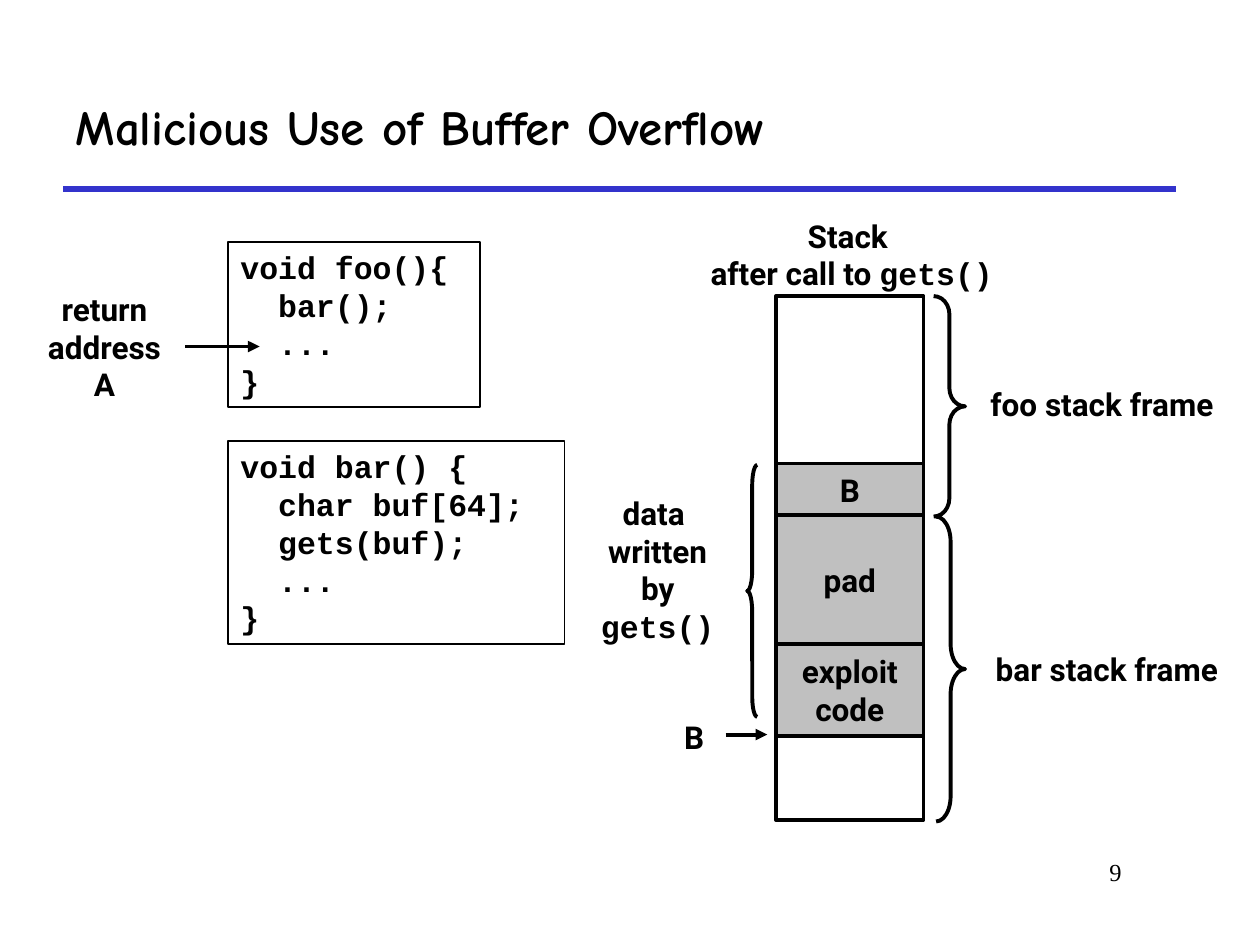
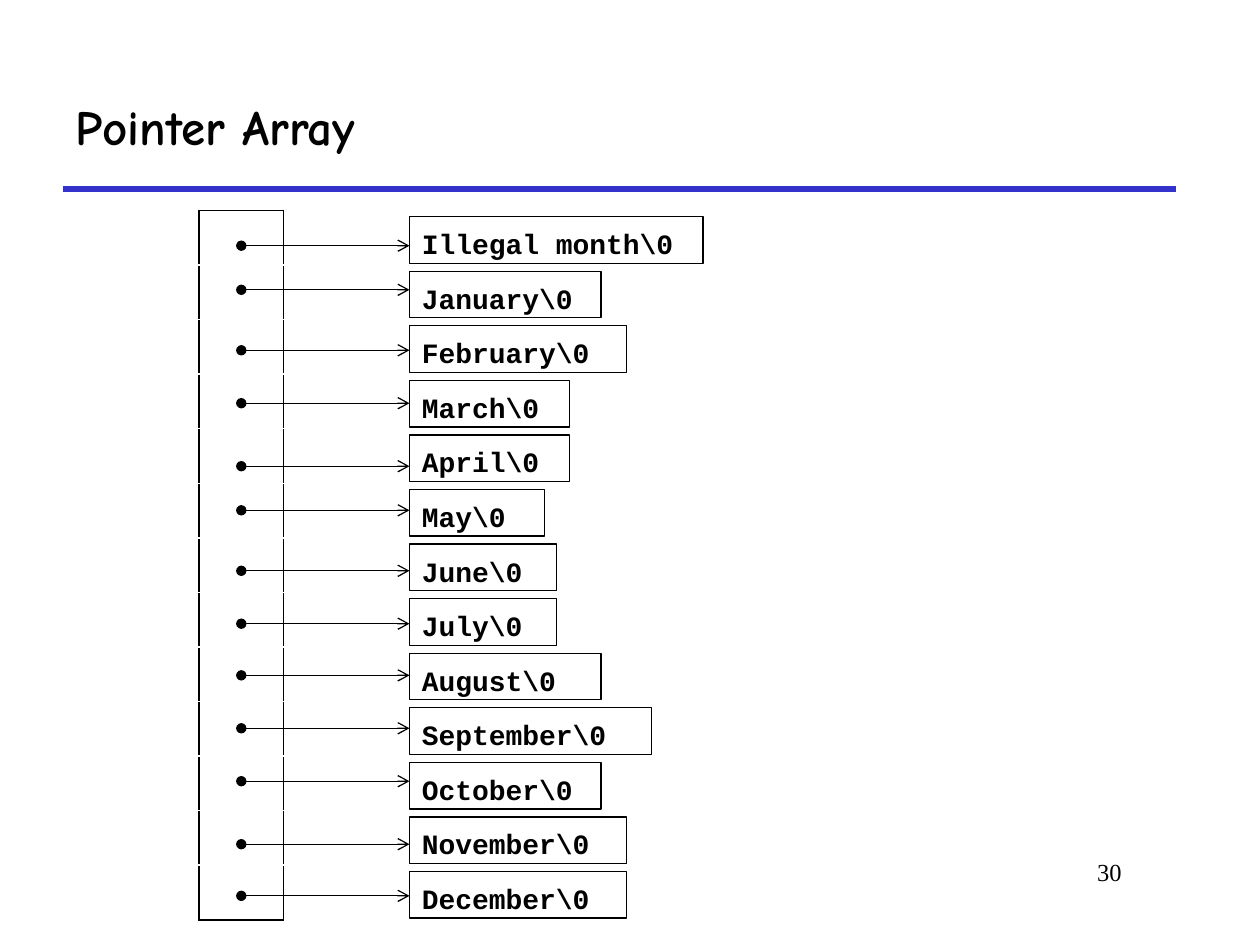
from lxml.etree import SubElement
from pptx import Presentation
from pptx.dml.color import RGBColor
from pptx.enum.shapes import MSO_CONNECTOR as Connector, MSO_SHAPE as Shape
from pptx.enum.text import MSO_ANCHOR as Anchor, MSO_AUTO_SIZE as AutoSize, PP_ALIGN as Align
from pptx.oxml.ns import qn
from pptx.util import Inches, Pt

COLORS = {"ink": "000000", "rule": "3333CC", "written": "C0C0C0", "paper": "FFFFFF"}
TITLE_FONT, CODE_FONT, LABEL_FONT, NUMBER_FONT = "Comic Neue", "Courier New", "Roboto", "Times New Roman"
CODE_WORD = "gets()"

# Slide 1 content: places are left, top, width, height in inches
CODE_BLOCKS = [
    ((1.81, 1.92, 2, 1.31), ["void foo(){", "  bar();", "  ...", "}"]),
    ((1.81, 3.5, 2.67, 1.61), ["void bar() {", "  char buf[64];", "  gets(buf);", "  ...", "}"]),
]
LABELS = [
    ((0.25, 2.25, 1.16, 1), ["return", "address", "A"]),
    ((5.51, 1.67, 2.5, 0.7), ["Stack ", "after call to gets()"]),
    ((7.72, 3.01, 2.05, 0.4), ["foo stack frame"]),
    ((7.76, 5.11, 2.05, 0.4), ["bar stack frame"]),
    ((5.32, 5.65, 0.38, 0.4), ["B"]),
    ((4.67, 3.87, 1.1, 1.3), ["data ", "written", "by", "gets()"]),
]
STACK_LEFT, STACK_WIDTH = 6.16, 1.17
STACK_CELLS = [  # top, height, fill, line width, text
    (2.35, 1.33, "paper", 2, []),
    (3.68, 0.42, "written", 2, ["B"]),
    (5.83, 0.68, "paper", 2, []),
    (5.11, 0.73, "written", 2.25, ["exploit", "code"]),
    (4.09, 1.02, "written", 2.25, ["pad"]),
]
BRACES = [
    (Shape.RIGHT_BRACE, (7.41, 2.35, 0.25, 1.75), 0.58),
    (Shape.RIGHT_BRACE, (7.43, 4.1, 0.23, 2.42), 0.87),
    (Shape.LEFT_BRACE, (5.93, 3.69, 0.08, 2), 2),
]
ADDRESS_ARROWS = [(1.47, 2.06, 2.75), (5.76, 6.09, 5.83)]  # from x, to x, y

# Slide 2 content: text, box width, arrow height
MONTHS = [
    ("Illegal month", 2.33, 1.95), ("January", 1.52, 2.3), ("February", 1.72, 2.78),
    ("March", 1.27, 3.2), ("April", 1.27, 3.7), ("May", 1.07, 4.05),
    ("June", 1.17, 4.53), ("July", 1.17, 4.95), ("August", 1.52, 5.36),
    ("September", 1.92, 5.78), ("October", 1.52, 6.2), ("November", 1.72, 6.7),
    ("December", 1.72, 7.11),
]
ARRAY_LEFT, ARRAY_TOP, ARRAY_WIDTH, ARRAY_HEIGHT = 1.58, 1.67, 0.67, 5.63
MONTH_LEFT, MONTH_TOP, MONTH_HEIGHT = 3.25, 1.72, 0.37


def color(name):
    return RGBColor.from_string(COLORS[name])


def inches(place):
    return [Inches(length) for length in place]


def write(shape, lines, font, size, align=Align.LEFT, anchor=Anchor.TOP, bold=True, wrap=True):
    frame = shape.text_frame
    frame.auto_size = AutoSize.NONE
    frame.word_wrap = wrap
    frame.vertical_anchor = anchor
    for index, line in enumerate(lines):
        para = frame.add_paragraph() if index else frame.paragraphs[0]
        para.alignment = align
        para.font.name, para.font.size, para.font.bold = font, Pt(size), bold
        para.font.color.rgb = color("ink")
        for text in filter(None, line.partition(CODE_WORD)):
            span = para.add_run()
            span.text = text
            if text == CODE_WORD:
                span.font.name = CODE_FONT


def add_outline(page, kind, place, width, fill=None):
    shape = page.shapes.add_shape(kind, *inches(place))
    shape.shadow.inherit = False
    if fill:
        shape.fill.solid()
        shape.fill.fore_color.rgb = color(fill)
    else:
        shape.fill.background()
    shape.line.color.rgb = color("ink")
    shape.line.width = Pt(width)
    return shape


def add_level_line(page, left, right, y, width, ink="ink", **ends):
    """Draw a horizontal line; ends may give headEnd and tailEnd types."""
    line = page.shapes.add_connector(Connector.STRAIGHT, *inches((left, y, right, y)))
    line.line.color.rgb = color(ink)
    line.line.width = Pt(width)
    properties = line._element.spPr
    for tag, kind in ends.items():
        SubElement(properties.find(qn("a:ln")), qn("a:" + tag), type=kind)
    SubElement(properties, qn("a:effectLst"))


def add_page(deck, title, number):
    page = deck.slides.add_slide(deck.slide_layouts[5])
    add_level_line(page, 0.5, 9.33, 1.5, 3, "rule")
    heading = page.shapes.title
    heading.left, heading.top, heading.width, heading.height = inches((0.5, 0.5, 9, 1))
    write(heading, [title], TITLE_FONT, 28, anchor=Anchor.MIDDLE)
    box = page.shapes.add_textbox(*inches((7.58, 6.75, 1.42, 0.5)))
    write(box, [str(number)], NUMBER_FONT, 14, Align.RIGHT, bold=False)
    return page


def build_overflow(deck):
    page = add_page(deck, "Malicious Use of Buffer Overflow", 9)
    for place, lines in CODE_BLOCKS:
        write(add_outline(page, Shape.RECTANGLE, place, 1), lines, CODE_FONT, 18)
    for place, lines in LABELS:
        box = page.shapes.add_textbox(*inches(place))
        write(box, lines, LABEL_FONT, 18, Align.CENTER, Anchor.MIDDLE, wrap=False)
    for top, height, fill, width, lines in STACK_CELLS:
        place = (STACK_LEFT, top, STACK_WIDTH, height)
        cell = add_outline(page, Shape.RECTANGLE, place, width, fill)
        write(cell, lines, LABEL_FONT, 18, Align.CENTER, Anchor.MIDDLE)
    for kind, place, curl in BRACES:
        brace = add_outline(page, kind, place, 2.25)
        brace.adjustments[0] = curl
        brace.adjustments[1] = 0.5
    for left, right, y in ADDRESS_ARROWS:
        add_level_line(page, left, right, y, 2.25, tailEnd="triangle")


def add_border(cell, tag):
    border = SubElement(cell._tc.get_or_add_tcPr(), qn("a:" + tag), w=str(Pt(1)))
    SubElement(SubElement(border, qn("a:solidFill")), qn("a:srgbClr"), val=COLORS["ink"])


def add_pointer_column(page):
    place = (ARRAY_LEFT, ARRAY_TOP, ARRAY_WIDTH, ARRAY_HEIGHT)
    table = page.shapes.add_table(len(MONTHS), 1, *inches(place)).table
    table.first_row = table.horz_banding = False
    last = len(MONTHS) - 1
    for index in range(len(MONTHS)):
        cell = table.cell(index, 0)
        sides = ["lnL", "lnR"] + ["lnT"] * (index == 0) + ["lnB"] * (index == last)
        for side in sides:
            add_border(cell, side)
        cell.fill.solid()
        cell.fill.fore_color.rgb = color("paper")


def build_pointers(deck):
    page = add_page(deck, "Pointer Array", 30)
    add_pointer_column(page)
    pitch = ARRAY_HEIGHT / len(MONTHS)
    for index, (month, width, arrow_y) in enumerate(MONTHS):
        place = (MONTH_LEFT, MONTH_TOP + index * pitch, width, MONTH_HEIGHT)
        box = add_outline(page, Shape.RECTANGLE, place, 0.75)
        write(box, [month + "\\0"], CODE_FONT, 16)
        box.text_frame.margin_top = Inches(0.08)
        add_level_line(page, ARRAY_LEFT + ARRAY_WIDTH / 2, MONTH_LEFT, arrow_y, 0.75,
                       headEnd="oval", tailEnd="arrow")


def main():
    deck = Presentation()
    deck.slide_width, deck.slide_height = Inches(10), Inches(7.5)
    build_overflow(deck)
    build_pointers(deck)
    deck.save("out.pptx")


if __name__ == "__main__":
    main()
